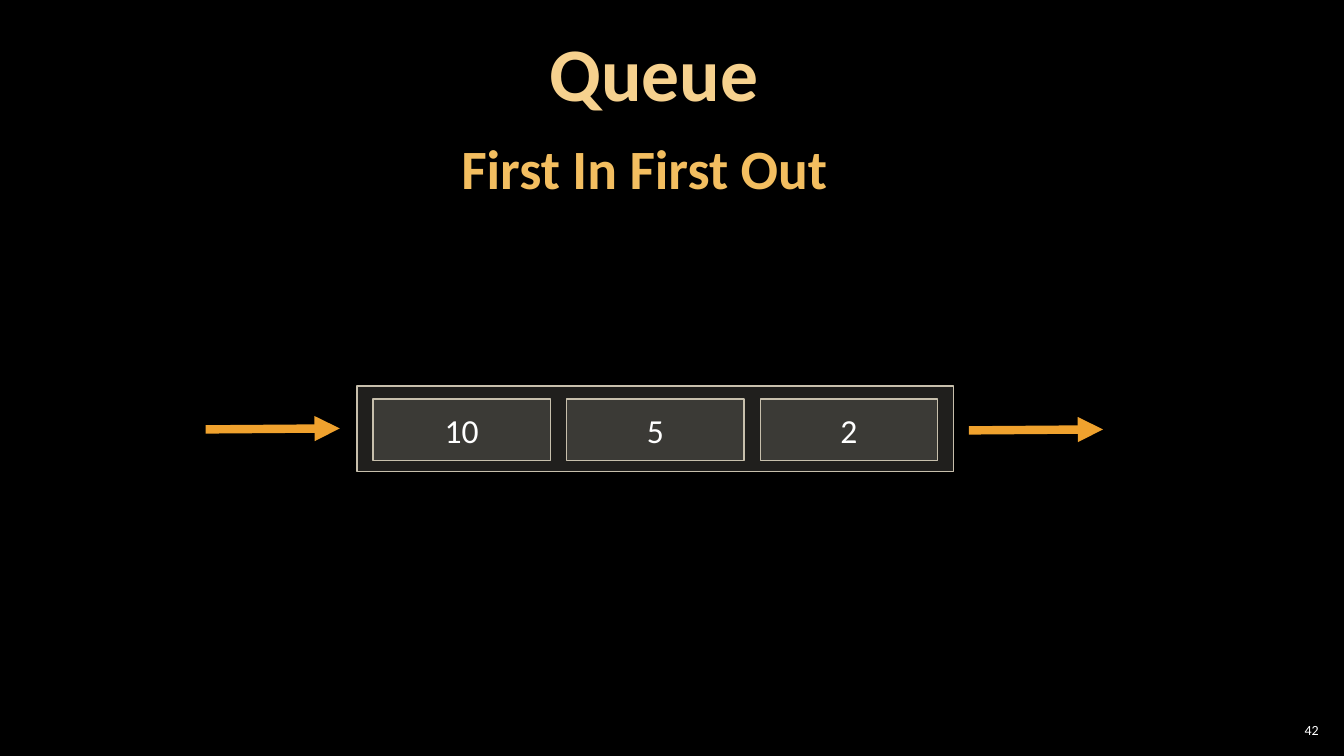
from pptx import Presentation
from pptx.dml.color import RGBColor
from pptx.enum import shapes, text
from pptx.oxml.ns import qn
from pptx.util import Inches, Pt
from lxml import etree

COLORS = {
    "background": "000000",
    "title": "F6D18E",
    "subtitle": "F3BE60",
    "body": "FFFFFF",
    "panel": "D9D5C7",
    "border": "C7BFAC",
    "arrow": "F0A22E",
}
FONT = "Calibri"
QUEUE_VALUES = ["10", "5", "2"]
CELL_LEFT, CELL_TOP, CELL_WIDTH, CELL_HEIGHT = 3.7, 3.96, 1.76, 0.61
CELL_STEP = 1.92


def color(key):
    return RGBColor.from_string(COLORS[key])


def style_run(run, size, key, bold=False):
    run.font.name = FONT
    run.font.size = Pt(size)
    run.font.bold = bold
    run.font.color.rgb = color(key)


def set_frame(frame, side, vertical):
    frame.word_wrap = True
    frame.vertical_anchor = text.MSO_ANCHOR.MIDDLE
    frame.margin_left = frame.margin_right = Inches(side)
    frame.margin_top = frame.margin_bottom = Inches(vertical)


def add_title(slide, heading, subtitle):
    title = slide.shapes.add_textbox(Inches(-0.18), Inches(0.43), Inches(13.33), Inches(1.55))
    set_frame(title.text_frame, 0.12, 0.04)
    paragraph = title.text_frame.paragraphs[0]
    paragraph.text = f"{heading}\v{subtitle}"
    paragraph.alignment = text.PP_ALIGN.CENTER
    paragraph.line_spacing = 0.9
    paragraph.add_run().text = " "
    styles = [(54, "title"), (39.6, "subtitle"), (59.4, "subtitle")]
    for run, (size, key) in zip(paragraph.runs, styles):
        style_run(run, size, key, bold=True)


def add_page_number(slide, number):
    page = slide.shapes.add_textbox(Inches(12.65), Inches(7.14), Inches(0.47), Inches(0.21))
    set_frame(page.text_frame, 0.04, 0.04)
    paragraph = page.text_frame.paragraphs[0]
    paragraph.text = number
    paragraph.alignment = text.PP_ALIGN.RIGHT
    style_run(paragraph.runs[0], 10, "body")


def add_panel(slide, left, top, width, height):
    panel = slide.shapes.add_shape(
        shapes.MSO_SHAPE.RECTANGLE, Inches(left), Inches(top), Inches(width), Inches(height)
    )
    panel.shadow.inherit = False
    panel.fill.solid()
    panel.fill.fore_color.rgb = color("panel")
    fill_color = panel.fill._xPr.find(qn("a:solidFill")).find(qn("a:srgbClr"))
    etree.SubElement(fill_color, qn("a:alpha")).set("val", "15000")
    panel.line.color.rgb = color("border")
    panel.line.width = Pt(1)
    return panel


def add_cell(slide, left, value):
    cell = add_panel(slide, left, CELL_TOP, CELL_WIDTH, CELL_HEIGHT)
    set_frame(cell.text_frame, 0.2, 0.1)
    paragraph = cell.text_frame.paragraphs[0]
    paragraph.text = value
    paragraph.alignment = text.PP_ALIGN.CENTER
    style_run(paragraph.runs[0], 24, "body")


def add_arrow(slide, left, top):
    arrow = slide.shapes.add_connector(
        shapes.MSO_CONNECTOR.STRAIGHT,
        Inches(left), Inches(top), Inches(left + 1.33), Inches(top - 0.01),
    )
    arrow.line.color.rgb = color("arrow")
    arrow.line.width = Pt(6)
    etree.SubElement(arrow.line._get_or_add_ln(), qn("a:tailEnd")).set("type", "triangle")
    etree.SubElement(arrow._element.spPr, qn("a:effectLst"))


def main():
    deck = Presentation()
    deck.slide_width, deck.slide_height = Inches(13.33), Inches(7.5)
    slide = deck.slides.add_slide(deck.slide_layouts[6])
    slide.background.fill.solid()
    slide.background.fill.fore_color.rgb = color("background")

    add_page_number(slide, "42")
    add_title(slide, "Queue", "First In First Out")
    add_panel(slide, 3.54, 3.83, 5.92, 0.85)
    for index, value in enumerate(QUEUE_VALUES):
        add_cell(slide, CELL_LEFT + index * CELL_STEP, value)
    add_arrow(slide, 2.04, 4.26)
    add_arrow(slide, 9.61, 4.27)
    deck.save("out.pptx")


if __name__ == "__main__":
    main()
